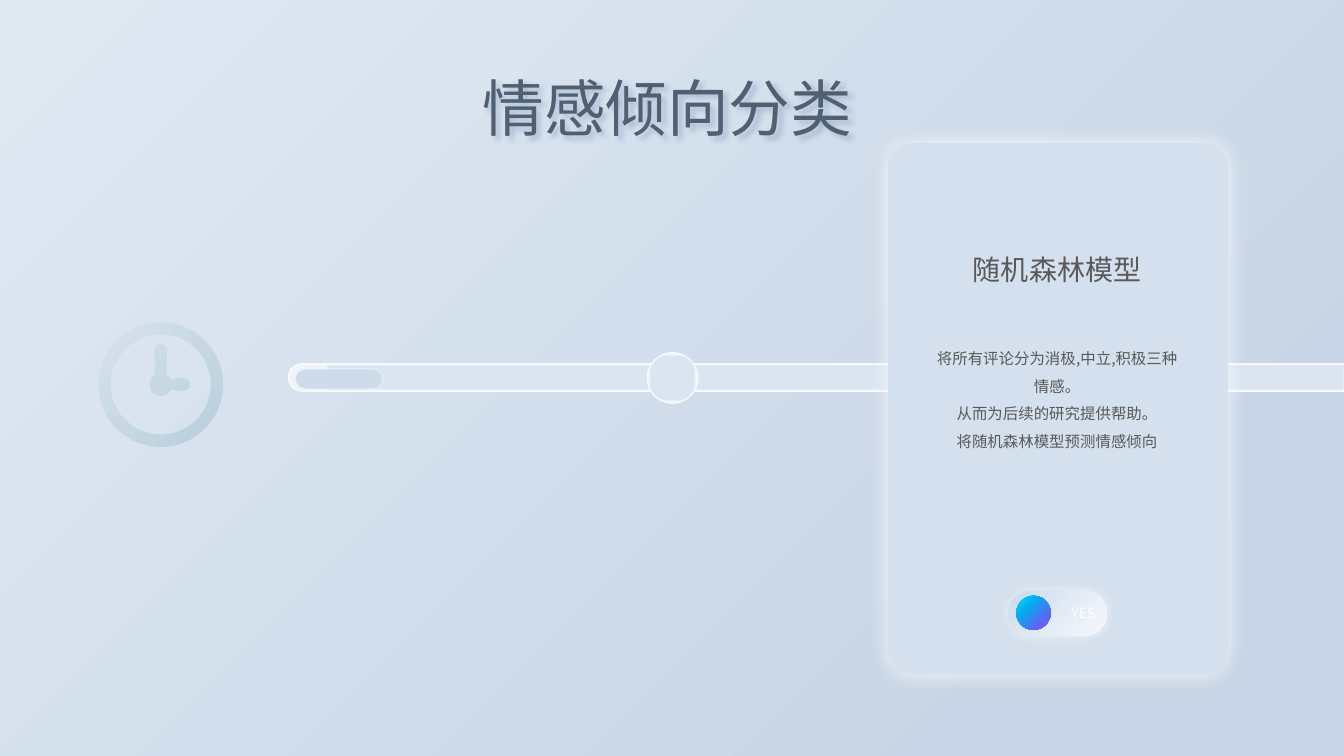
from dataclasses import dataclass
from math import ceil, cos, radians, sin, tan

from lxml.etree import SubElement
from pptx import Presentation
from pptx.dml.color import RGBColor
from pptx.enum.shapes import MSO_SHAPE as Shape
from pptx.enum.text import MSO_ANCHOR as Anchor, MSO_AUTO_SIZE as AutoSize, PP_ALIGN as Align
from pptx.oxml.ns import qn
from pptx.util import Inches, Pt


@dataclass(frozen=True)
class Theme:
    title_font: str = "Noto Sans CJK JP"
    body_font: str = "Noto Sans CJK SC"
    title_size: int = 44
    heading_size: int = 20
    body_size: int = 11
    label_size: int = 10
    title: str = "516070"
    text: str = "595959"
    white: str = "FFFFFF"
    rim: str = "F7F9FC"
    card: str = "D4E0ED"
    card_rim: str = "85AACC"
    toggle_rim: str = "B0C5DE"
    progress: str = "CEDBEA"
    shadow: str = "8FA6C4"
    backdrop: tuple = ((0, "DFE9F2"), (85, "C8D5E6"))
    track: tuple = ((84, "DBE5F1"), (93, "F0F4F9"))
    toggle: tuple = ((0, "F6F9FC"), (100, "CCDAEE"))
    knob: tuple = ((0, "04DFFB"), (31, "00B0F0"), (100, "9340F5"))
    clock: tuple = ((0, "D6E2EE"), (100, "B8CEDB"))


def arc(center, radius, start, end):
    count = ceil(abs(end - start) / 90)
    step = radians((end - start) / count)
    pull = 4 / 3 * tan(step / 4)
    points = []
    for index in range(count):
        a = radians(start) + step * index
        b = a + step
        if index == 0:
            points.append((cos(a), sin(a)))
        points += [(cos(a) - pull * sin(a), sin(a) + pull * cos(a)),
                   (cos(b) + pull * sin(b), sin(b) - pull * cos(b)),
                   (cos(b), sin(b))]
    return [(center[0] + radius * x, center[1] + radius * y) for x, y in points]


def write_text(frame, text, font, size, color, spacing=None, align=Align.CENTER):
    frame.word_wrap = True
    for index, line in enumerate(text.split("\n")):
        paragraph = frame.paragraphs[0] if index == 0 else frame.add_paragraph()
        paragraph.alignment = align
        if spacing:
            paragraph.line_spacing = spacing
        run = paragraph.add_run()
        run.text = line
        run.font.size = Pt(size)
        run.font.color.rgb = RGBColor.from_string(color)
        run.font.name = font
        SubElement(run.font._element, qn("a:ea"), typeface=font)


def set_gradient(fill, holder, stops, angle=None):
    fill.gradient()
    gradient = holder.find(".//" + qn("a:gradFill"))
    gradient.clear()
    stop_list = SubElement(gradient, qn("a:gsLst"))
    for position, color in stops:
        stop = SubElement(stop_list, qn("a:gs"), pos=str(position * 1000))
        SubElement(stop, qn("a:srgbClr"), val=color)
    if angle is None:
        center = SubElement(gradient, qn("a:path"), {"path": "shape"})
        SubElement(center, qn("a:fillToRect"), dict.fromkeys("ltrb", "50000"))
    else:
        SubElement(gradient, qn("a:lin"), ang=str(angle * 60000), scaled="0")


def add_shadow(shape, color, alpha, blur, distance=0, angle=0):
    effects = shape.element.spPr.find(qn("a:effectLst"))
    shadow = SubElement(effects, qn("a:outerShdw"), blurRad=str(Pt(blur)),
                        dist=str(Pt(distance)), dir=str(angle * 60000))
    tint = SubElement(shadow, qn("a:srgbClr"), val=color)
    SubElement(tint, qn("a:alpha"), val=str(alpha * 1000))


class SlideBuilder:
    def __init__(self, slide, theme):
        self.slide = slide
        self.theme = theme

    def background(self, stops, angle):
        set_gradient(self.slide.background.fill, self.slide.element, stops, angle)

    def style(self, shape, fill, angle=None, line=None, width=1, opacity=100):
        if fill is None:
            shape.fill.background()
            shape.element.set("useBgFill", "1")
        elif isinstance(fill, str):
            shape.fill.solid()
            shape.fill.fore_color.rgb = RGBColor.from_string(fill)
        else:
            set_gradient(shape.fill, shape.element.spPr, fill, angle)
        if line:
            shape.line.color.rgb = RGBColor.from_string(line)
            shape.line.width = Pt(width)
            tint = shape.element.spPr.find(qn("a:ln")).find(".//" + qn("a:srgbClr"))
            SubElement(tint, qn("a:alpha"), val=str(opacity * 1000))
        else:
            shape.line.fill.background()
        shape.shadow.inherit = False
        return shape

    def shape(self, kind, box, fill, radius=None, **look):
        shape = self.slide.shapes.add_shape(kind, *map(Inches, box))
        if radius is not None:
            shape.adjustments[0] = radius
        return self.style(shape, fill, **look)

    def text(self, box, text, **format):
        shape = self.slide.shapes.add_textbox(*map(Inches, box))
        write_text(shape.text_frame, text, **format)
        shape.text_frame.auto_size = AutoSize.SHAPE_TO_FIT_TEXT
        shape.shadow.inherit = False
        return shape

    def curves(self, box, contours, fill, angle):
        left, top, width, height = box
        corners = [(left, top), (left + width, top),
                   (left + width, top + height), (left, top + height)]
        corners = [(Inches(x), Inches(y)) for x, y in corners]
        builder = self.slide.shapes.build_freeform(*corners[0], scale=1.0)
        builder.add_line_segments(corners[1:], close=True)
        shape = builder.convert_to_shape()
        outline = shape.element.spPr.find(".//" + qn("a:path"))
        for child in list(outline):
            outline.remove(child)

        def draw(command, points):
            segment = SubElement(outline, qn("a:" + command))
            for x, y in points:
                SubElement(segment, qn("a:pt"), x=str(Inches(x - left)),
                           y=str(Inches(y - top)))

        for arcs in contours:
            for index, points in enumerate(arcs):
                draw("lnTo" if index else "moveTo", points[:1])
                for start in range(1, len(points), 3):
                    draw("cubicBezTo", points[start:start + 3])
            SubElement(outline, qn("a:close"))
        return self.style(shape, fill, angle)


def main():
    presentation = Presentation()
    presentation.slide_width = Inches(13.33)
    presentation.slide_height = Inches(7.5)
    theme = Theme()
    slide = presentation.slides.add_slide(presentation.slide_layouts[6])
    page = SlideBuilder(slide, theme)
    page.background(theme.backdrop, 45)

    page.shape(Shape.ROUNDED_RECTANGLE, (2.86, 3.61, 10.85, 0.27), theme.track,
               radius=0.5, line=theme.rim)
    page.shape(Shape.ROUNDED_RECTANGLE, (2.93, 3.66, 0.87, 0.2), theme.progress,
               radius=0.5, line=theme.rim, opacity=50)
    page.shape(Shape.OVAL, (6.42, 3.5, 0.5, 0.5), theme.track, line=theme.rim)

    title = page.text((4.34, 0.64, 4.56, 0.84), "情感倾向分类", font=theme.title_font,
                      size=theme.title_size, color=theme.title)
    add_shadow(title, theme.shadow, 60, blur=4, distance=4, angle=45)

    card = page.shape(Shape.ROUNDED_RECTANGLE, (8.81, 1.42, 3.37, 5.27), theme.card,
                      radius=0.07, line=theme.card_rim, width=20, opacity=0)
    add_shadow(card, theme.rim, 90, blur=16)
    page.text((9.33, 2.46, 2.31, 0.44), "随机森林模型", font=theme.body_font,
              size=theme.heading_size, color=theme.text)
    page.text((9.15, 3.32, 2.67, 1.49),
              "将所有评论分为消极,中立,积极三种情感。\n"
              "从而为后续的研究提供帮助。\n"
              "将随机森林模型预测情感倾向",
              font=theme.body_font, size=theme.body_size, color=theme.text, spacing=1.5)

    toggle = page.shape(Shape.ROUNDED_RECTANGLE, (10, 5.86, 0.98, 0.45), theme.toggle,
                        radius=0.5, angle=225, line=theme.toggle_rim, width=8.5, opacity=0)
    add_shadow(toggle, theme.rim, 80, blur=8)
    write_text(toggle.text_frame, "YES", font=theme.body_font, size=theme.label_size,
               color=theme.white, align=Align.RIGHT)
    toggle.text_frame.vertical_anchor = Anchor.MIDDLE
    toggle.text_frame.margin_right = Inches(0.05)
    page.shape(Shape.OVAL, (10.08, 5.91, 0.34, 0.34), theme.knob, angle=45,
               line=theme.white, width=0.5, opacity=0)

    dial = page.shape(Shape.ROUNDED_RECTANGLE, (0.64, 2.8, 1.91, 1.91), None,
                      line=theme.card_rim, width=20, opacity=0)
    dial.rotation = 45
    hub = (1.595, 3.815)
    hands = [arc(hub, 0.11, 28, 242), arc((1.595, 3.48), 0.06, 180, 360),
             arc(hub, 0.11, 298, 332), arc((1.82, 3.815), 0.06, -90, 90)]
    page.curves((0.98, 3.2, 1.23, 1.23),
                [[arc(hub, 0.615, 0, 360)], [arc(hub, 0.5, 360, 0)], hands],
                theme.clock, 45)

    presentation.save("out.pptx")


if __name__ == "__main__":
    main()
